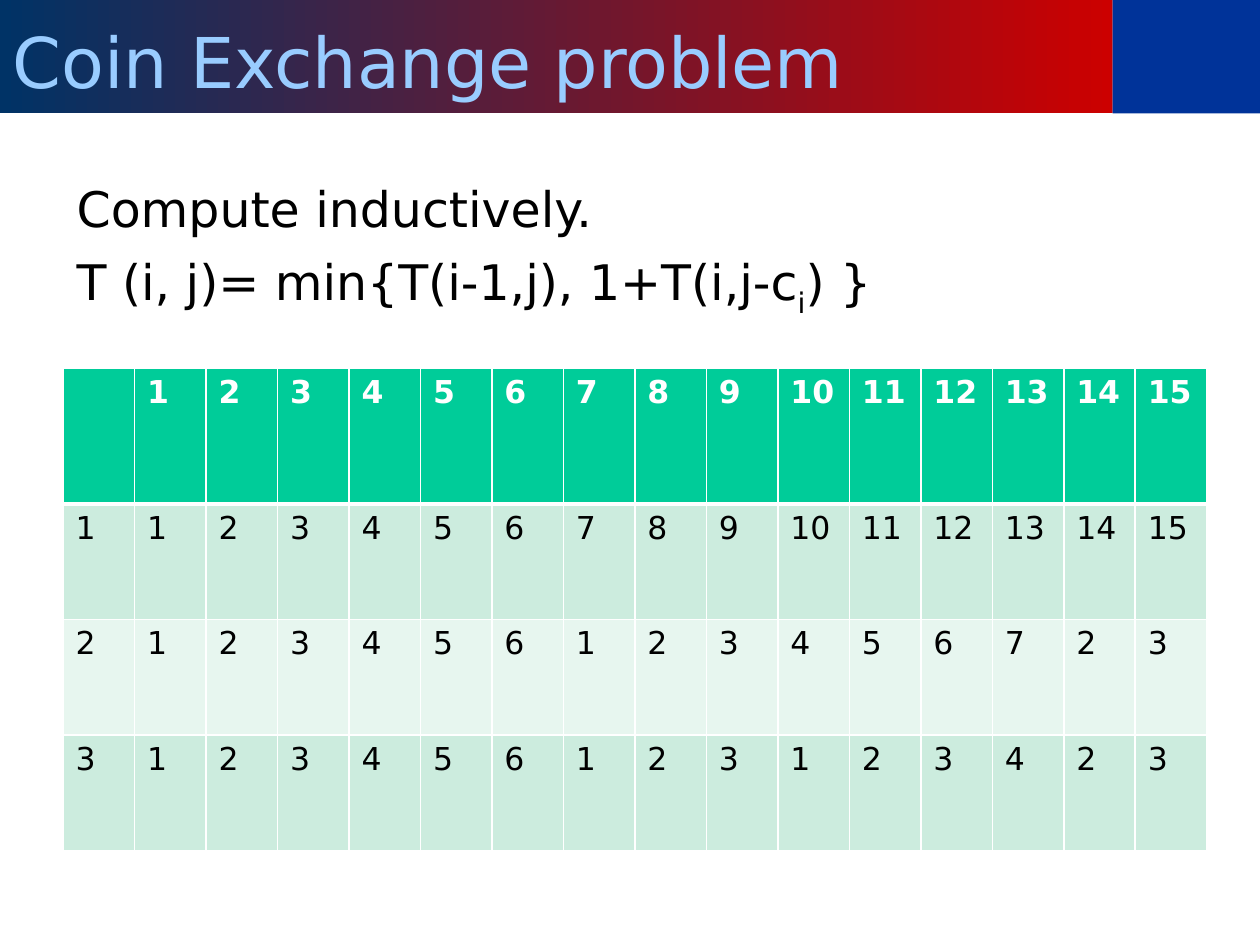
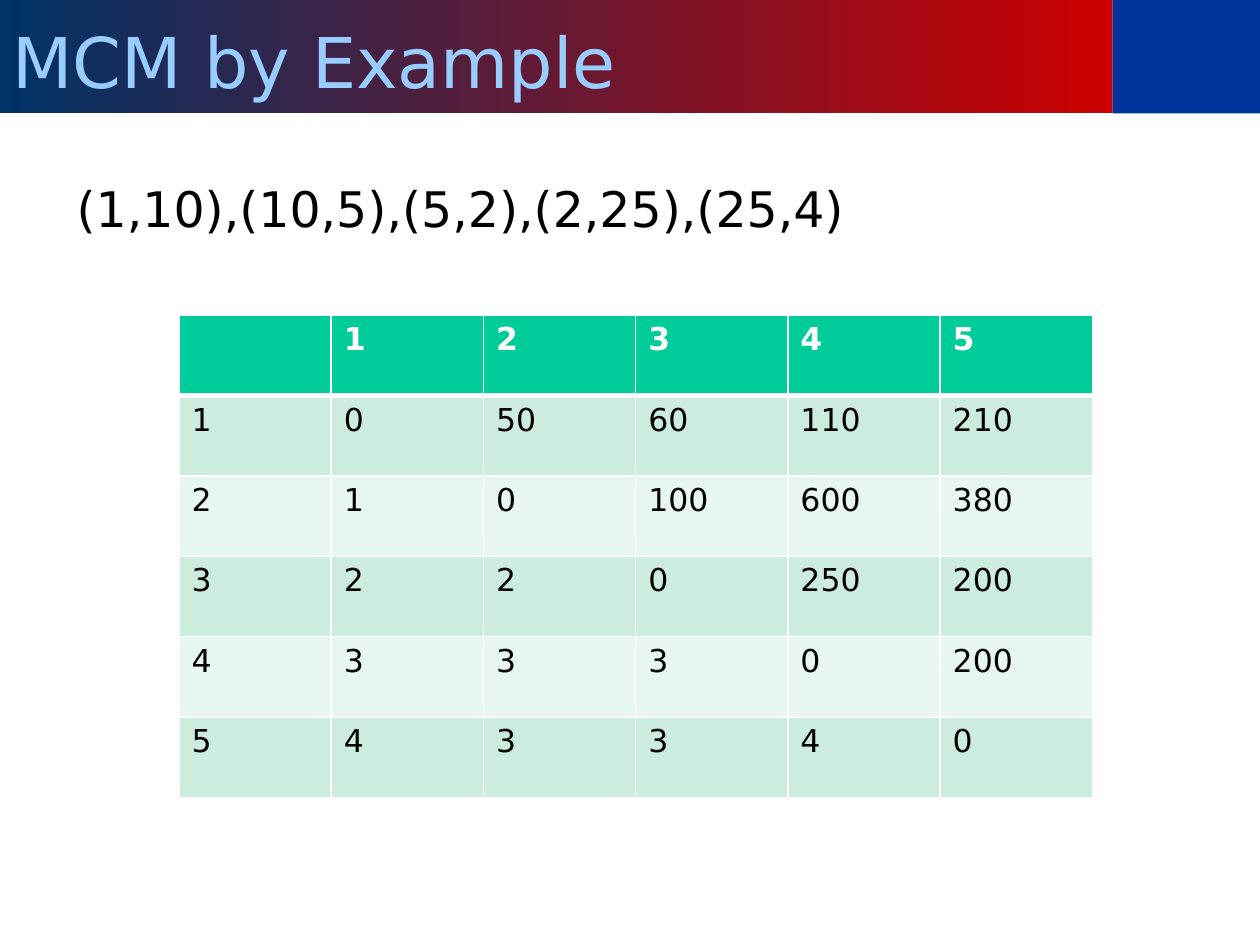
from lxml import etree
from pptx import Presentation
from pptx.dml.color import RGBColor
from pptx.enum import shapes, text
from pptx.oxml import ns
from pptx.util import Inches, Pt

RED = RGBColor(0xCC, 0x00, 0x00)
NAVY = RGBColor(0x00, 0x33, 0x66)
BLUE = RGBColor(0x00, 0x33, 0x99)
SKY = RGBColor(0x99, 0xCC, 0xFF)
GREEN = RGBColor(0x00, 0xCC, 0x99)
MINT = RGBColor(0xCC, 0xEC, 0xDE)
PALE = RGBColor(0xE7, 0xF6, 0xEF)
WHITE = RGBColor(0xFF, 0xFF, 0xFF)
BLACK = RGBColor(0x00, 0x00, 0x00)

FACE = "DejaVu Sans"
TITLE = {"name": FACE, "size": Pt(40), "color": SKY, "bold": False}
BODY = {"name": FACE, "size": Pt(28), "color": BLACK}
HEAD = {"name": FACE, "size": Pt(18), "color": WHITE, "bold": True}
CELL = {"name": FACE, "size": Pt(18), "color": BLACK, "bold": False}

COINS = [
    ["", *range(1, 16)],
    [1, *range(1, 16)],
    [2, 1, 2, 3, 4, 5, 6, 1, 2, 3, 4, 5, 6, 7, 2, 3],
    [3, 1, 2, 3, 4, 5, 6, 1, 2, 3, 1, 2, 3, 4, 2, 3],
]
COSTS = [
    ["", 1, 2, 3, 4, 5],
    [1, 0, 50, 60, 110, 210],
    [2, 1, 0, 100, 600, 380],
    [3, 2, 2, 0, 250, 200],
    [4, 3, 3, 3, 0, 200],
    [5, 4, 3, 3, 4, 0],
]


def style(font, look):
    for key, value in look.items():
        if key == "color":
            font.color.rgb = value
        else:
            setattr(font, key, value)


def place(shape, box):
    names = ("left", "top", "width", "height")
    for name, size in zip(names, box):
        setattr(shape, name, Inches(size))


def add_band(slide, box, label):
    """Gradient title across the box, with a blue block at its right end."""
    left, top, width, height = box
    split = 8.83
    title = slide.shapes.title
    place(title, (left, top, split, height))
    title.fill.gradient()
    title.fill.gradient_angle = 180
    for stop, color in zip(title.fill.gradient_stops, (RED, NAVY)):
        stop.color.rgb = color
    frame = title.text_frame
    look = {"vertical_anchor": text.MSO_ANCHOR.MIDDLE, "word_wrap": True,
            "auto_size": text.MSO_AUTO_SIZE.NONE, "margin_top": Inches(0.11)}
    for key, value in look.items():
        setattr(frame, key, value)
    frame.text = label
    para = frame.paragraphs[0]
    para.alignment = text.PP_ALIGN.LEFT
    style(para.runs[0].font, TITLE)

    block = slide.shapes.add_shape(
        shapes.MSO_SHAPE.RECTANGLE, Inches(left + split), Inches(top),
        Inches(width - split), Inches(height))
    block.shadow.inherit = False
    block.fill.solid()
    block.fill.fore_color.rgb = BLUE
    block.line.fill.background()


def add_body(slide, box, lines):
    """Each line is a list of (words, baseline shift in thousandths of %)."""
    frame = slide.shapes.add_textbox(*map(Inches, box)).text_frame
    frame.word_wrap = True
    frame.margin_top = Inches(0.09)
    for i, line in enumerate(lines):
        para = frame.add_paragraph() if i else frame.paragraphs[0]
        props = para._p.get_or_add_pPr()
        props.set("marL", str(Inches(0.38)))
        props.set("indent", str(Inches(-0.37)))
        if i:
            para.space_before = Pt(8)
        for words, shift in line:
            run = para.add_run()
            run.text = words
            style(run.font, BODY)
            if shift:
                run.font._element.set("baseline", str(shift))


def add_edges(cell, widths):
    """Draw white borders, given a width in points for each side."""
    props = cell._tc.get_or_add_tcPr()
    for side in "LRTB":
        line = etree.SubElement(props, ns.qn(f"a:ln{side}"),
                                w=str(Pt(widths[side])))
        fill = etree.SubElement(line, ns.qn("a:solidFill"))
        etree.SubElement(fill, ns.qn("a:srgbClr"), val=str(WHITE))


def add_grid(slide, box, data, top_row):
    """Table with equal columns, and equal rows below the top row."""
    width, height = box[2:]
    count = len(data[0])
    table = slide.shapes.add_table(len(data), count,
                                   *map(Inches, box)).table
    for col in table.columns:
        col.width = Inches(width / count)
    rest = (height - top_row) / (len(data) - 1)
    for r, values in enumerate(data):
        table.rows[r].height = Inches(rest if r else top_row)
        color = (MINT if r % 2 else PALE) if r else GREEN
        edges = {"L": 1, "R": 1, "T": 3 if r == 1 else 1, "B": 1 if r else 3}
        for c, value in enumerate(values):
            cell = table.cell(r, c)
            add_edges(cell, edges)
            cell.fill.solid()
            cell.fill.fore_color.rgb = color
            cell.text = str(value)
            style(cell.text_frame.paragraphs[0].font, CELL if r else HEAD)
            for run in cell.text_frame.paragraphs[0].runs:
                style(run.font, CELL if r else HEAD)


def add_page(deck, label, lines, body, data, grid, top_row):
    slide = deck.slides.add_slide(deck.slide_layouts[5])
    add_band(slide, (0, 0, 10, 0.9), label)
    add_body(slide, body, lines)
    add_grid(slide, grid, data, top_row)


def main():
    deck = Presentation()
    deck.slide_width, deck.slide_height = Inches(10), Inches(7.5)
    add_page(deck, "Coin Exchange problem",
             [[("Compute inductively.", 0)],
              [("T (i, j)= min{T(i-1,j), 1+T(i,j-c", 0), ("i", -25000),
               (") }", 0)]],
             (0.5, 1.33, 9.25, 5.92), COINS, (0.5, 2.92, 9.08, 3.83), 1.08)
    add_page(deck, "MCM by Example",
             [[("(1,10),(10,5),(5,2),(2,25),(25,4)", 0)]],
             (0.5, 1.33, 9.17, 5.37), COSTS, (1.42, 2.5, 7.25, 3.83), 0.64)
    deck.save("out.pptx")


if __name__ == "__main__":
    main()
